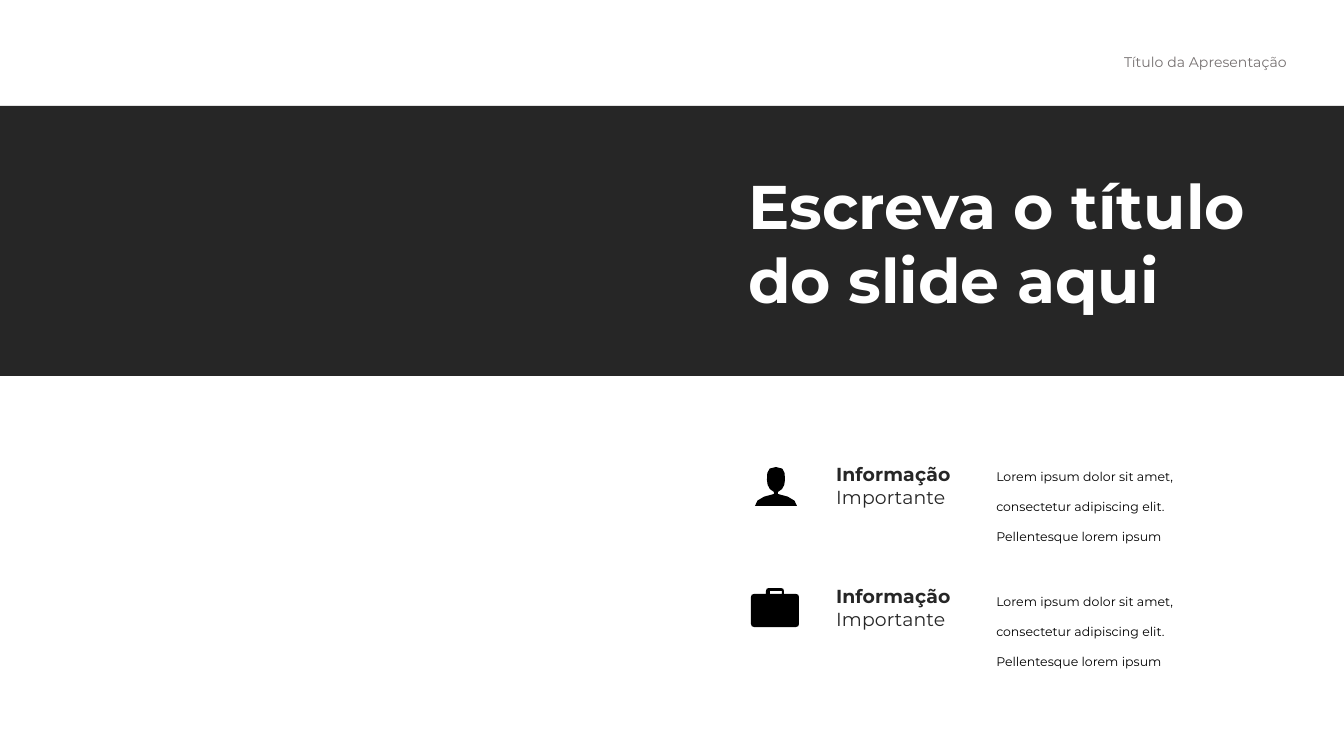
from pptx import Presentation
from pptx.dml.color import RGBColor
from pptx.enum.shapes import MSO_SHAPE
from pptx.enum.text import MSO_AUTO_SIZE, PP_ALIGN
from pptx.util import Pt

RECT = MSO_SHAPE.RECTANGLE
GROW = MSO_AUTO_SIZE.SHAPE_TO_FIT_TEXT
LEFT, RIGHT = PP_ALIGN.LEFT, PP_ALIGN.RIGHT
SCALE = 914400 / 134.4
FONT = "Montserrat"
DARK, GRAY, WHITE, BLACK = "262626", "767171", "FFFFFF", "000000"

LOREM = ("Lorem ipsum dolor sit amet, consectetur adipiscing elit. "
         "Pellentesque lorem ipsum")
PERSON = [
    [(21, 0)],
    [(30, 0), (30, 5), (30, 13)],
    [(30, 18), (28, 23), (23, 25)],
    [(23, 27)],
    [(34, 29), (42, 33), (42, 39)],
]
BRIEFCASE = [
    [(24, 0)],
    [(30, 0)],
    [(32, 0), (33, 1), (33, 3)],
    [(33, 6)],
    [(45, 6)],
    [(47, 6), (48, 7), (48, 9)],
    [(48, 36)],
    [(48, 38), (47, 39), (45, 39)],
]
HANDLE_GAP = [(19, 3), (31, 3), (31, 6), (19, 6)]


def px(n):
    return round(n * SCALE)


def color(value):
    return RGBColor.from_string(value)


def paint(sp, fill):
    sp.shadow.inherit = False
    sp.fill.solid()
    sp.fill.fore_color.rgb = color(fill)
    sp.line.fill.background()


def add_text(s, box, text, size, fill, bold=(False,), align=LEFT,
             spacing=None, wrap=True):
    tf = s.shapes.add_textbox(*map(px, box)).text_frame
    tf.word_wrap = wrap
    tf.auto_size = GROW
    tf.text = text
    for p, is_bold in zip(tf.paragraphs, bold):
        p.alignment = align
        p.line_spacing = spacing
        for r in p.runs:
            r.font.name = FONT
            r.font.size = Pt(size)
            r.font.bold = is_bold
            r.font.color.rgb = color(fill)


def bezier(a, b, c, d, steps):
    points = []
    for i in range(1, steps + 1):
        t = i / steps
        u = 1 - t
        points.append(tuple(
            u**3 * a[k] + 3 * u * u * t * b[k] + 3 * u * t * t * c[k] + t**3 * d[k]
            for k in (0, 1)))
    return points


def mirrored_outline(segments, steps):
    points = list(segments[0])
    for segment in segments[1:]:
        if len(segment) == 3:
            points += bezier(points[-1], *segment, steps)
        else:
            points += segment
    axis = points[0][0]
    return points + [(2 * axis - x, y) for x, y in reversed(points[1:])]


def icon(s, x, y, contours):
    builder = None
    for contour in contours:
        points = [(px(x + a), px(y + b)) for a, b in contour]
        if builder is None:
            builder = s.shapes.build_freeform(*points[0])
        else:
            builder.move_to(*points[0])
        builder.add_line_segments(points[1:], close=True)
    paint(builder.convert_to_shape(), BLACK)


def header(s, x, y, w, h):
    add_text(s, (x, y, w, h), "Título da Apresentação", 7.5, GRAY,
             align=RIGHT, wrap=False)


def banner(s, x, y, w, h):
    paint(s.shapes.add_shape(RECT, *map(px, (x, y, w, h))), DARK)
    add_text(s, (x + 735, y + 55, 575, 163), "Escreva o título do slide aqui",
             33, WHITE, bold=(True,))


def info_row(s, x, y, label_y, label_w, icon_x, icon_y, contours):
    add_text(s, (x + 72, y + label_y, label_w, 59), "Informação\nImportante",
             10.13, DARK, bold=(True, False))
    add_text(s, (x + 232, y, 270, 101), LOREM, 6.75, BLACK, spacing=2.0)
    icon(s, x + icon_x, y + icon_y, contours)


def main():
    prs = Presentation()
    prs.slide_width, prs.slide_height = px(1344), px(756)
    s = prs.slides.add_slide(prs.slide_layouts[6])
    banner(s, 0, 106, 1344, 270)
    header(s, 1109, 47, 191, 31)
    person = [mirrored_outline(PERSON, 3)]
    briefcase = [mirrored_outline(BRIEFCASE, 2), HANDLE_GAP]
    info_row(s, 751, 447, 9, 165, 4, 20, person)
    info_row(s, 751, 572, 6, 151, 0, 16, briefcase)
    prs.save("out.pptx")


if __name__ == "__main__":
    main()
